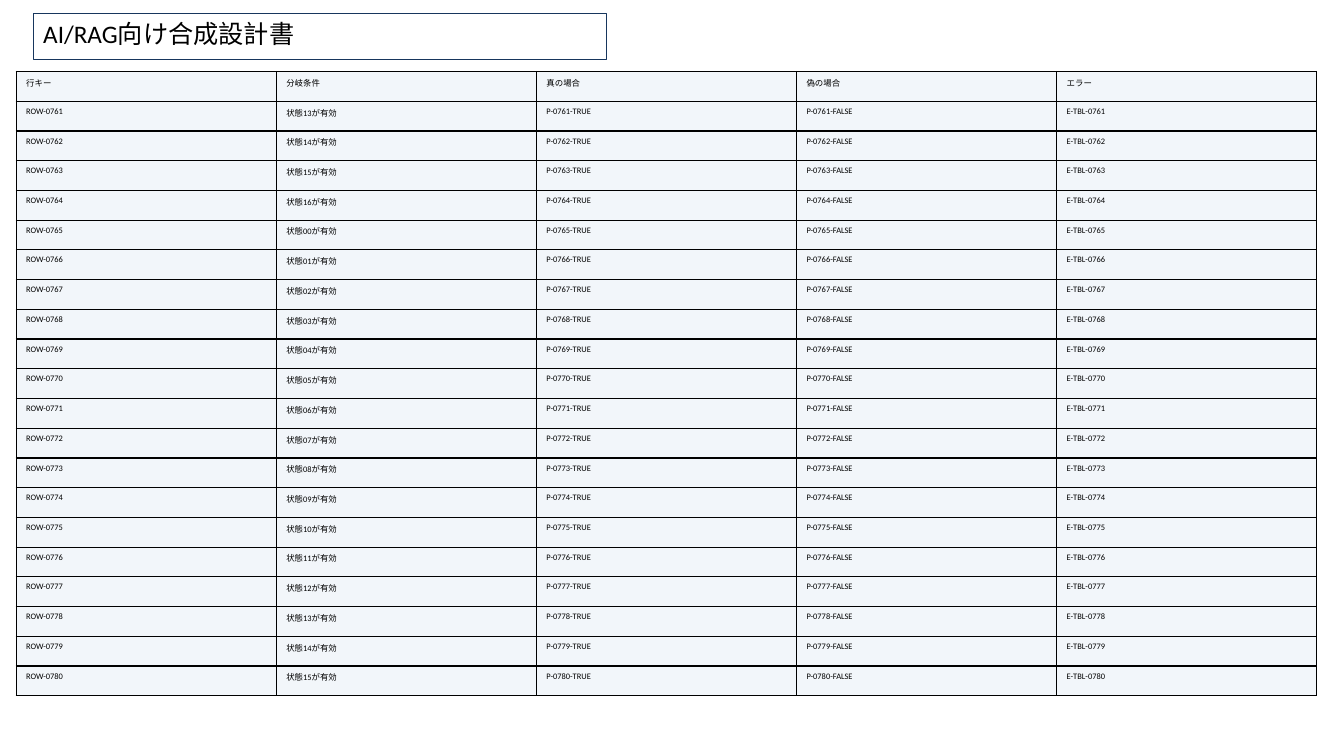
from lxml.etree import SubElement as Sub
from pptx import Presentation
from pptx.dml.color import RGBColor
from pptx.enum.shapes import MSO_SHAPE as Shape
from pptx.enum.text import MSO_ANCHOR as Anchor, PP_ALIGN as Align
from pptx.oxml.ns import qn
from pptx.util import Inches, Pt

BLACK = RGBColor(0x00, 0x00, 0x00)
WHITE = RGBColor(0xFF, 0xFF, 0xFF)
NAVY = RGBColor(0x17, 0x36, 0x5D)
PALE = RGBColor(0xF2, 0xF6, 0xFA)
FONT = "Calibri"
WIDE, HIGH = Inches(13.33), Inches(7.5)
COL, ROW = Inches(2.58), Inches(6.2 / 21)
HEADS = ["行キー", "分岐条件", "真の場合", "偽の場合", "エラー"]
FIRST, LAST, CYCLE = 761, 780, 17


def add_text(frame, text, size):
    para = frame.paragraphs[0]
    para.alignment = Align.LEFT
    run = para.add_run()
    run.text = text
    run.font.name = FONT
    run.font.size = Pt(size)
    run.font.color.rgb = BLACK


def add_title(slide, text):
    box = slide.shapes.add_shape(
        Shape.RECTANGLE, Inches(0.33), Inches(0.13), Inches(5.69), Inches(0.46))
    box.shadow.inherit = False
    box.fill.solid()
    box.fill.fore_color.rgb = WHITE
    box.line.color.rgb = NAVY
    box.line.width = Pt(0.75)
    box.text_frame.word_wrap = True
    box.text_frame.vertical_anchor = Anchor.TOP
    add_text(box.text_frame, text, 18)


def add_edges(cell):
    props = cell._tc.get_or_add_tcPr()
    for side in ("lnL", "lnR", "lnT", "lnB"):
        edge = Sub(props, qn(f"a:{side}"), w=str(Pt(1)))
        fill = Sub(edge, qn("a:solidFill"))
        Sub(fill, qn("a:srgbClr"), val=str(BLACK))


def fill_cell(cell, text):
    add_edges(cell)
    cell.fill.solid()
    cell.fill.fore_color.rgb = PALE
    add_text(cell.text_frame, text, 6)


def make_row(num):
    key = f"{num:04}"
    return [f"ROW-{key}", f"状態{num % CYCLE:02}が有効",
            f"P-{key}-TRUE", f"P-{key}-FALSE", f"E-TBL-{key}"]


def add_grid(slide, rows):
    high, wide = len(rows), len(rows[0])
    grid = slide.shapes.add_table(
        high, wide, Inches(0.16), Inches(0.71), COL * wide, ROW * high).table
    grid.first_row = False
    grid.horz_banding = False
    for col in grid.columns:
        col.width = COL
    for line, texts in zip(grid.rows, rows):
        line.height = ROW
        for cell, text in zip(line.cells, texts):
            fill_cell(cell, text)


def main():
    deck = Presentation()
    deck.slide_width, deck.slide_height = WIDE, HIGH
    slide = deck.slides.add_slide(deck.slide_layouts[6])
    add_title(slide, "AI/RAG向け合成設計書")
    add_grid(slide, [HEADS] + [make_row(num) for num in range(FIRST, LAST + 1)])
    deck.save("out.pptx")


if __name__ == "__main__":
    main()
